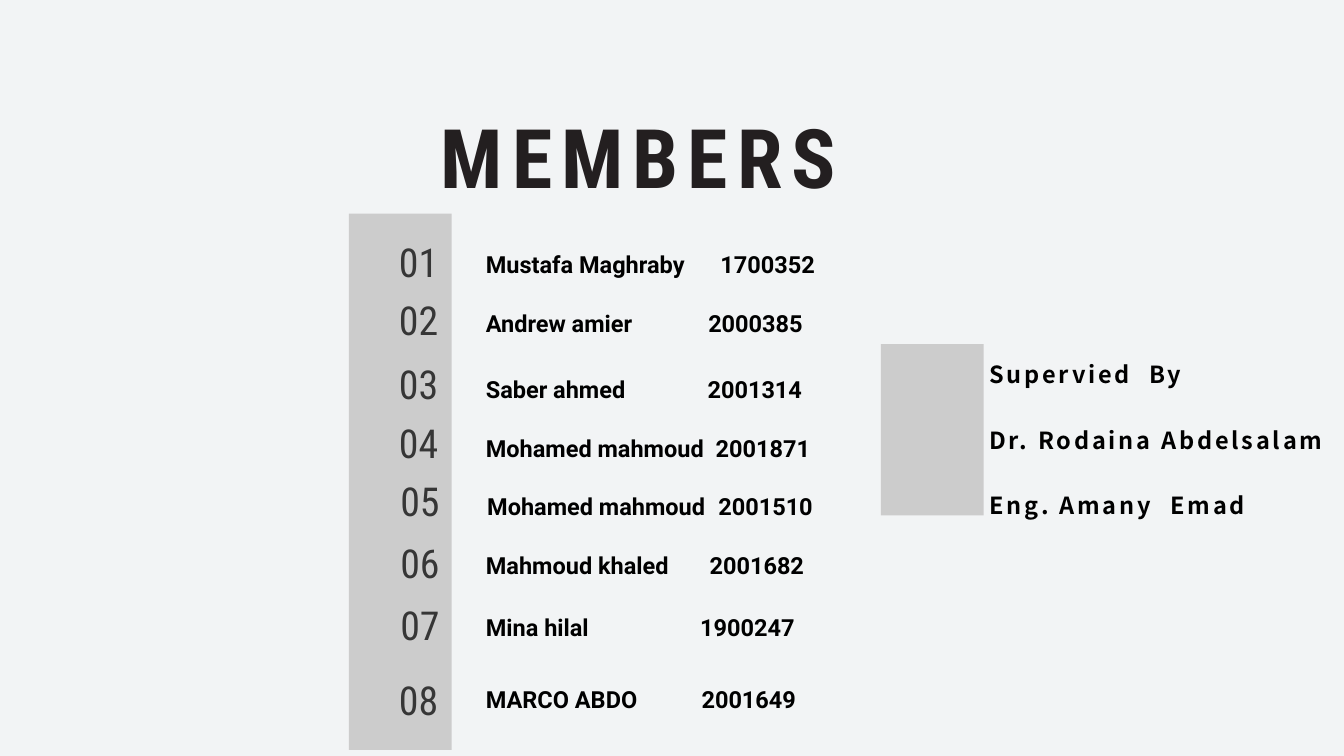
from pptx import Presentation
from pptx.dml.color import RGBColor
from pptx.enum.shapes import MSO_SHAPE
from pptx.enum.text import PP_ALIGN
from pptx.oxml.ns import qn
from pptx.util import Inches, Pt
from lxml.etree import SubElement

# Content: number, name, ID, number top, name top, ID offset
TITLE = "MEMBERS"
MEMBERS = [
    ("01", "Mustafa Maghraby", "1700352", 3.53, 3.65, 3.49),
    ("02", "Andrew amier", "2000385", 4.4, 4.54, 3.31),
    ("03", "Saber ahmed", "2001314", 5.36, 5.52, 3.3),
    ("04", "Mohamed mahmoud", "2001871", 6.23, 6.39, 3.42),
    ("05", "Mohamed mahmoud", "2001510", 7.1, 7.25, 3.44),
    ("06", "Mahmoud khaled", "2001682", 8.01, 8.13, 3.33),
    ("07", "Mina hilal", "1900247", 8.94, 9.05, 3.19),
    ("08", "MARCO ABDO", "2001649", 10.06, 10.13, 3.21),
]
SUPERVISORS = [  # text, tab stop
    ("Supervied\tBy", 2.38),
    ("Dr. Rodaina Abdelsalam", None),
    ("Eng. Amany\tEmad", 2.7),
]
PANELS = [(5.19, 3.18, 1.53, 7.98), (13.11, 5.12, 1.53, 2.55)]

# Styles: font, size, colour, bold, letter spacing, line spacing (points)
THEME = {
    "background": "F2F4F5",
    "panel": "CCCCCC",
    "title": ("Roboto Condensed", 88, "231F20", True, 9.8, 137.8),
    "number": ("Roboto Condensed", 42.7, "363636", False, 0, 51.2),
    "member": ("Roboto", 25.2, "000000", True, 0, 34.9),
    "supervisor": ("Noto Sans CJK SC", 25.2, "000000", True, 3, 34.9),
}


def add_text(s, box, lines, style, align=PP_ALIGN.LEFT, gap=0):
    """Add a text box; each line is its text and an optional tab stop."""
    name, size, color, bold, spacing, leading = THEME[style]
    tf = s.shapes.add_textbox(*map(Inches, box)).text_frame
    tf.word_wrap = True
    tf.margin_left = tf.margin_right = tf.margin_top = tf.margin_bottom = 0
    for i, (text, tab) in enumerate(lines):
        p = tf.add_paragraph() if i else tf.paragraphs[0]
        p.alignment = align
        p.line_spacing = Pt(leading)
        if i and gap:
            p.space_before = Pt(gap)
        if tab:
            tabs = SubElement(p._p.get_or_add_pPr(), qn("a:tabLst"))
            SubElement(tabs, qn("a:tab"), pos=str(Inches(tab)), algn="l")
        r = p.add_run()
        r.text = text
        r.font.name, r.font.size, r.font.bold = name, Pt(size), bold
        r.font.color.rgb = RGBColor.from_string(color)
        if spacing:
            r._r.get_or_add_rPr().set("spc", str(round(spacing * 100)))


def main():
    prs = Presentation()
    prs.slide_width, prs.slide_height = Inches(20), Inches(11.25)
    s = prs.slides.add_slide(prs.slide_layouts[6])
    s.background.fill.solid()
    s.background.fill.fore_color.rgb = RGBColor.from_string(THEME["background"])

    # Grey panels
    for box in PANELS:
        sp = s.shapes.add_shape(MSO_SHAPE.RECTANGLE, *map(Inches, box))
        sp.shadow.inherit = False
        sp.fill.solid()
        sp.fill.fore_color.rgb = RGBColor.from_string(THEME["panel"])
        sp.line.fill.background()

    # Title
    add_text(s, (5.45, 1.13, 8.11, 1.77), [(TITLE, None)], "title", PP_ALIGN.CENTER)

    # Member list
    for number, name, member_id, number_top, name_top, tab in MEMBERS:
        number_left = 5.74 if number in ("05", "06", "07") else 5.72
        name_left = 7.25 if number == "05" else 7.23
        add_text(s, (number_left, number_top, 1.02, 0.72), [(number, None)],
                 "number", PP_ALIGN.CENTER)
        add_text(s, (name_left, name_top, 6.65, 0.49),
                 [(f"{name}\t{member_id}", tab)], "member")

    # Supervisors, one blank line's height apart
    add_text(s, (14.72, 5.3, 5.28, 3.44), SUPERVISORS, "supervisor", gap=34.9)

    prs.save("out.pptx")


if __name__ == "__main__":
    main()
